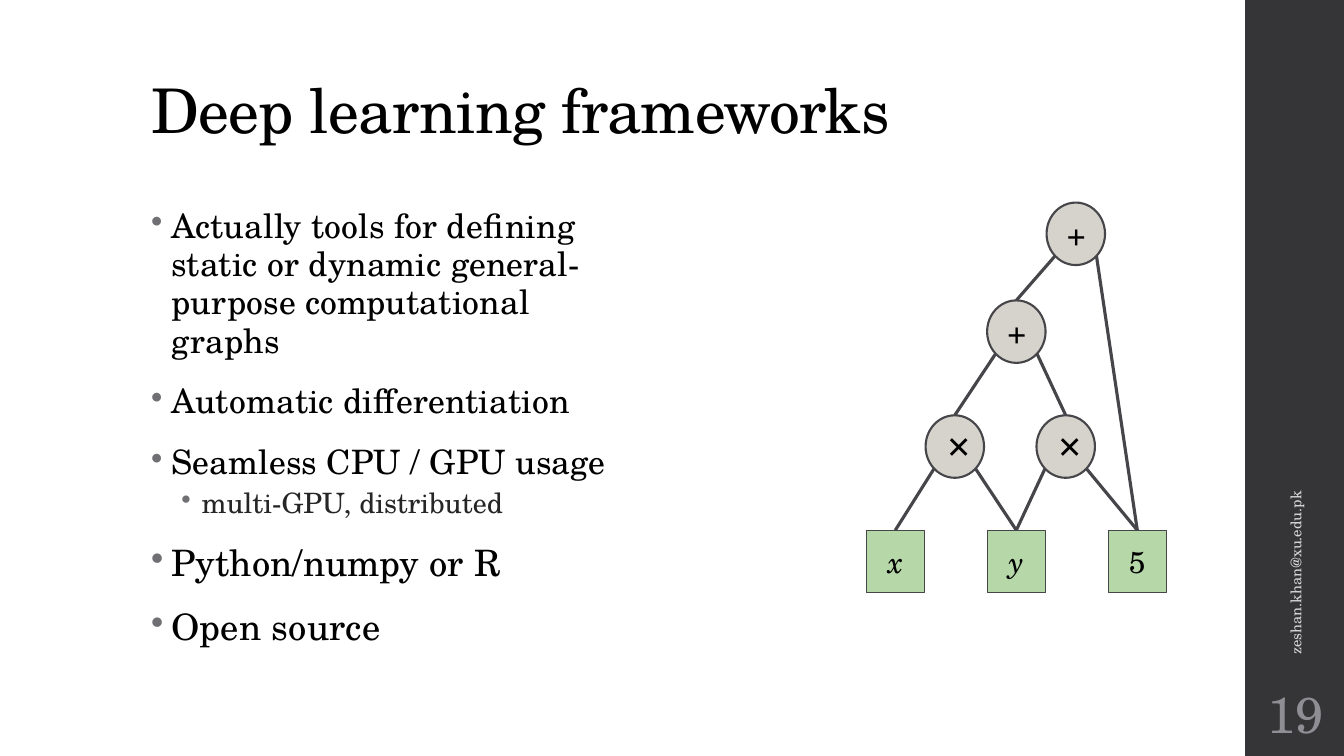
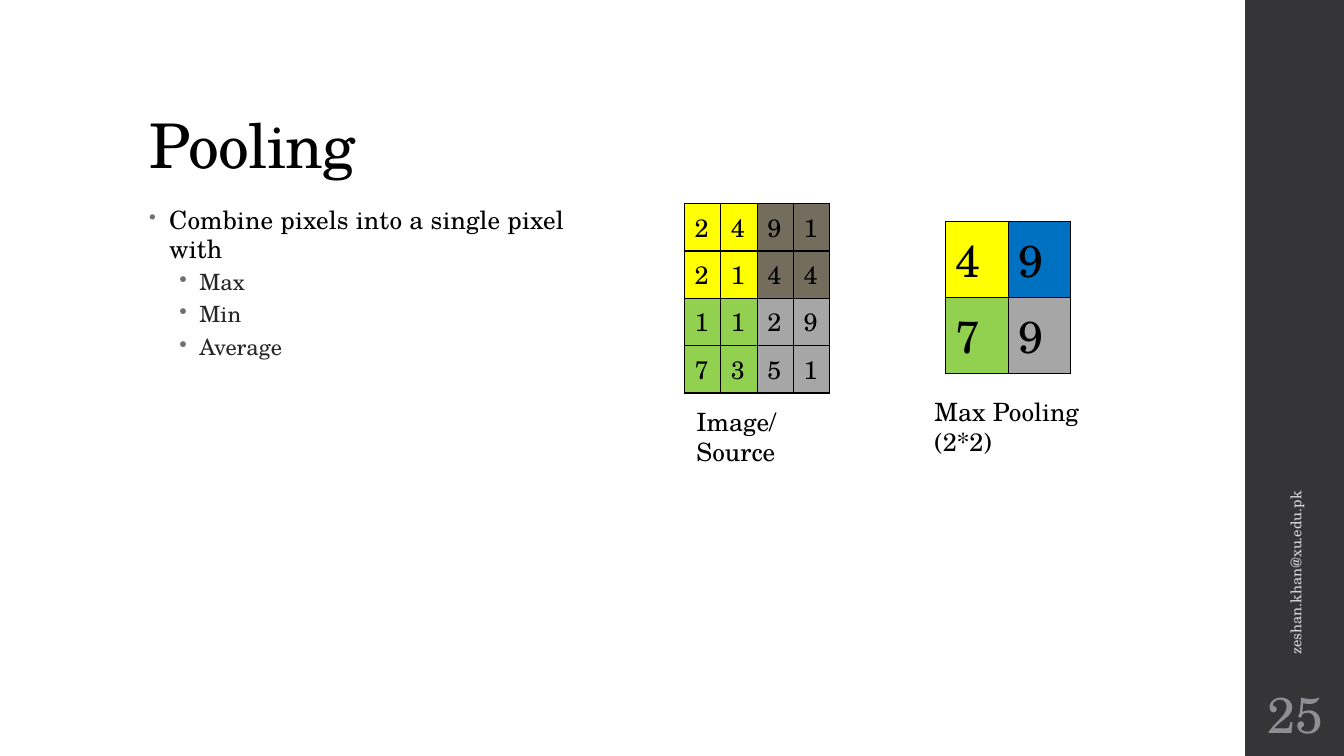
from math import cos, pi
from lxml import etree
from pptx import Presentation
from pptx.dml.color import RGBColor
from pptx.enum.shapes import MSO_CONNECTOR, MSO_SHAPE
from pptx.enum.text import MSO_ANCHOR, MSO_AUTO_SIZE, PP_ALIGN
from pptx.oxml.ns import qn
from pptx.util import Inches, Pt

RECT, OVAL = MSO_SHAPE.RECTANGLE, MSO_SHAPE.OVAL
LINE = MSO_CONNECTOR.STRAIGHT
TOP, MIDDLE, BOTTOM = MSO_ANCHOR.TOP, MSO_ANCHOR.MIDDLE, MSO_ANCHOR.BOTTOM
LEFT, CENTER = PP_ALIGN.LEFT, PP_ALIGN.CENTER
NO_FIT = MSO_AUTO_SIZE.NONE

FONT = "TeX Gyre Schola"
MAIL = "zeshan.khan@xu.edu.pk"
COLORS = {
    "text": "000000", "sub": "262626", "bullet": "6F6F74",
    "band": "353537", "mail": "D9D9DB", "page": "8E8E94",
    "edge": "46464A", "op": "D6D3CC", "input": "B6D7A8",
    "yellow": "FFFF00", "brown": "746D5D", "green": "92D050",
    "gray": "A6A6A6", "blue": "0070C0",
}
TITLE_BOX = (1.38, 0.4, 10.6, 1.45)
BODY_BOX = (1.38, 2, 4.9, 4.76)
BAND_BOX = (12.35, 0, 1, 7.5)
TIGHT = (0.1, 0.05)
LOOSE = (0.12, 0.06)

# Per level: indent, line spacing, space before, space after, colour, tracking
LEVELS = [
    (0.2, 0.95, 14, 2, "text", 10),
    (0.5, 0.9, 3, 3, "sub", 0),
]


def color(name):
    return RGBColor.from_string(COLORS[name])


def place(shape, box):
    shape.left, shape.top, shape.width, shape.height = map(Inches, box)


def set_frame(frame, anchor, inset):
    """Set anchor, wrapping and (side, top/bottom) insets."""
    frame.word_wrap = True
    frame.auto_size = NO_FIT
    frame.vertical_anchor = anchor
    frame.margin_left = frame.margin_right = Inches(inset[0])
    frame.margin_top = frame.margin_bottom = Inches(inset[1])


def add_run(para, text, size, tone="text", track=0, italic=False):
    run = para.add_run()
    run.text = text
    font = run.font
    font.name, font.size, font.italic = FONT, Pt(size), italic
    font.color.rgb = color(tone)
    if track:
        font._element.set("spc", str(track))


def add_text(slide, box, text, size, tone="text", anchor=TOP,
             align=LEFT, inset=TIGHT):
    label = slide.shapes.add_textbox(*map(Inches, box))
    set_frame(label.text_frame, anchor, inset)
    para = label.text_frame.paragraphs[0]
    para.alignment = align
    add_run(para, text, size, tone)
    return label


def add_block(shapes, kind, box, fill, edge=None, weight=0):
    block = shapes.add_shape(kind, *map(Inches, box))
    block.shadow.inherit = False
    block.fill.solid()
    block.fill.fore_color.rgb = color(fill)
    if edge:
        block.line.color.rgb = color(edge)
        block.line.width = Pt(weight)
    else:
        block.line.fill.background()
    return block


def add_band(slide, box, page):
    """Draw the side band with its turned mail address and page number."""
    left, top, width, height = box
    add_block(slide.shapes, RECT, box, "band")
    long, short = 3.92, 0.4
    middle = top + 4.63
    mail = add_text(slide, (left + width / 2 - long / 2, middle - short / 2,
                            long, short), MAIL, 10.5, "mail", MIDDLE)
    mail.rotation = 270
    add_text(slide, (left, top + height - 0.75, width, 0.65), str(page), 36,
             "page", MIDDLE, CENTER, (0.05, 0.05))


def add_slide(deck, title, page, anchor, inset):
    slide = deck.slides.add_slide(deck.slide_layouts[5])
    add_band(slide, BAND_BOX, page)
    head = slide.shapes.title
    place(head, TITLE_BOX)
    set_frame(head.text_frame, anchor, inset)
    para = head.text_frame.paragraphs[0]
    para.alignment = LEFT
    para.line_spacing = 0.9
    add_run(para, title, 44, track=-50)
    return slide


def set_bullet(para, indent, scale):
    props = para._p.get_or_add_pPr()
    props.set("marL", str(Inches(indent)))
    props.set("indent", str(Inches(-0.2)))
    tint = etree.SubElement(props, qn("a:buClr"))
    etree.SubElement(tint, qn("a:srgbClr"), val=COLORS["bullet"])
    etree.SubElement(props, qn("a:buSzPct"), val=str(scale * 1000))
    etree.SubElement(props, qn("a:buChar"), char="•")


def add_list(slide, box, items, inset, scale=100):
    """Write items of (level, size, text); scale sizes top-level bullets."""
    frame = slide.shapes.add_textbox(*map(Inches, box)).text_frame
    set_frame(frame, TOP, inset)
    for i, (level, size, text) in enumerate(items):
        para = frame.add_paragraph() if i else frame.paragraphs[0]
        indent, lines, before, after, tone, track = LEVELS[level]
        para.level = level
        para.line_spacing = lines
        para.space_before, para.space_after = Pt(before), Pt(after)
        set_bullet(para, indent, 100 if level else scale)
        add_run(para, text, size, tone, track)


def add_edge(shapes, start, end):
    edge = shapes.add_connector(LINE, *map(Inches, start + end))
    edge.line.color.rgb = color("edge")
    edge.line.width = Pt(2.25)
    etree.SubElement(edge._element.spPr, qn("a:effectLst"))


def add_graph(slide, left, top):
    """Draw the computational graph with its top left corner given."""
    shapes = slide.shapes.add_group_shape().shapes
    wide, high = 0.58, 0.62
    # Name: symbol, offset from the corner
    nodes = {
        "root": ("+", 1.79, 0), "sum": ("+", 1.2, 0.97),
        "left": ("✕", 0.59, 2.11), "right": ("✕", 1.69, 2.11),
        "x": ("x", 0, 3.25), "y": ("y", 1.2, 3.25), "five": ("5", 2.4, 3.25),
    }
    # Parent: lower left child, lower right child
    links = {"root": ("sum", "five"), "sum": ("left", "right"),
             "left": ("x", "y"), "right": ("y", "five")}
    mids = {}
    for name, (text, dx, dy) in nodes.items():
        box = (left + dx, top + dy, wide, high)
        mids[name] = (box[0] + wide / 2, box[1] + high / 2)
        style = (OVAL, box, "op", "edge", 1.5) if name in links else (
            RECT, box, "input", "edge", 0.75)
        frame = add_block(shapes, *style).text_frame
        set_frame(frame, MIDDLE, (0.12, 0.12))
        para = frame.paragraphs[0]
        para.alignment = CENTER
        add_run(para, text, 21.6, italic=text in "xy")
    reach = cos(pi / 4) / 2
    for parent, pair in links.items():
        px, py = mids[parent]
        for side, child in zip((-1, 1), pair):
            cx, cy = mids[child]
            add_edge(shapes, (cx, cy - high / 2),
                     (px + side * wide * reach, py + high * reach))


def set_border(cell):
    props = cell._tc.get_or_add_tcPr()
    for side in ("lnL", "lnR", "lnT", "lnB"):
        line = etree.SubElement(props, qn("a:" + side), w=str(Pt(1)))
        fill = etree.SubElement(line, qn("a:solidFill"))
        etree.SubElement(fill, qn("a:srgbClr"), val=COLORS["text"])


def add_grid(slide, left, top, wide, high, size, rows, fills):
    """Draw a square table whose quadrants take the four fills."""
    count = len(rows)
    table = slide.shapes.add_table(count, count, *map(Inches, (
        left, top, wide * count, high * count))).table
    table.first_row = table.horz_banding = False
    for r, row in enumerate(rows):
        table.rows[r].height = Inches(high)
        table.columns[r].width = Inches(wide)
        for c, value in enumerate(row):
            cell = table.cell(r, c)
            set_border(cell)
            cell.fill.solid()
            tone = fills[2 * r // count * 2 + 2 * c // count]
            cell.fill.fore_color.rgb = color(tone)
            add_run(cell.text_frame.paragraphs[0], value, size)


def add_frameworks(deck):
    slide = add_slide(deck, "Deep learning frameworks", 19, MIDDLE, LOOSE)
    add_list(slide, BODY_BOX, [
        (0, 24, "Actually tools for defining static or dynamic "
                "general-purpose computational graphs"),
        (0, 24, "Automatic differentiation"),
        (0, 24, "Seamless CPU / GPU usage"),
        (1, 20, "multi-GPU, distributed"),
        (0, 26, "Python/numpy or R"),
        (0, 26, "Open source"),
    ], LOOSE)
    add_graph(slide, 8.59, 2.01)


def add_pooling(deck):
    slide = add_slide(deck, "Pooling", 25, BOTTOM, TIGHT)
    add_list(slide, BODY_BOX, [
        (0, 18, "Combine pixels into a single pixel with"),
        (1, 16, "Max"),
        (1, 16, "Min"),
        (1, 16, "Average"),
    ], TIGHT, 80)
    add_grid(slide, 6.79, 2.02, 0.36, 0.47, 18,
             ["2491", "2144", "1129", "7351"],
             ["yellow", "brown", "green", "gray"])
    add_grid(slide, 9.38, 2.2, 0.62, 0.64, 32, ["49", "79"],
             ["yellow", "blue", "green", "gray"])
    add_text(slide, (6.81, 3.98, 1.63, 0.4), "Image/Source", 18)
    add_text(slide, (9.17, 3.88, 2.06, 0.4), "Max Pooling (2*2)", 18)


def main():
    deck = Presentation()
    deck.slide_width, deck.slide_height = Inches(13.33), Inches(7.5)
    add_frameworks(deck)
    add_pooling(deck)
    deck.save("out.pptx")


if __name__ == "__main__":
    main()
